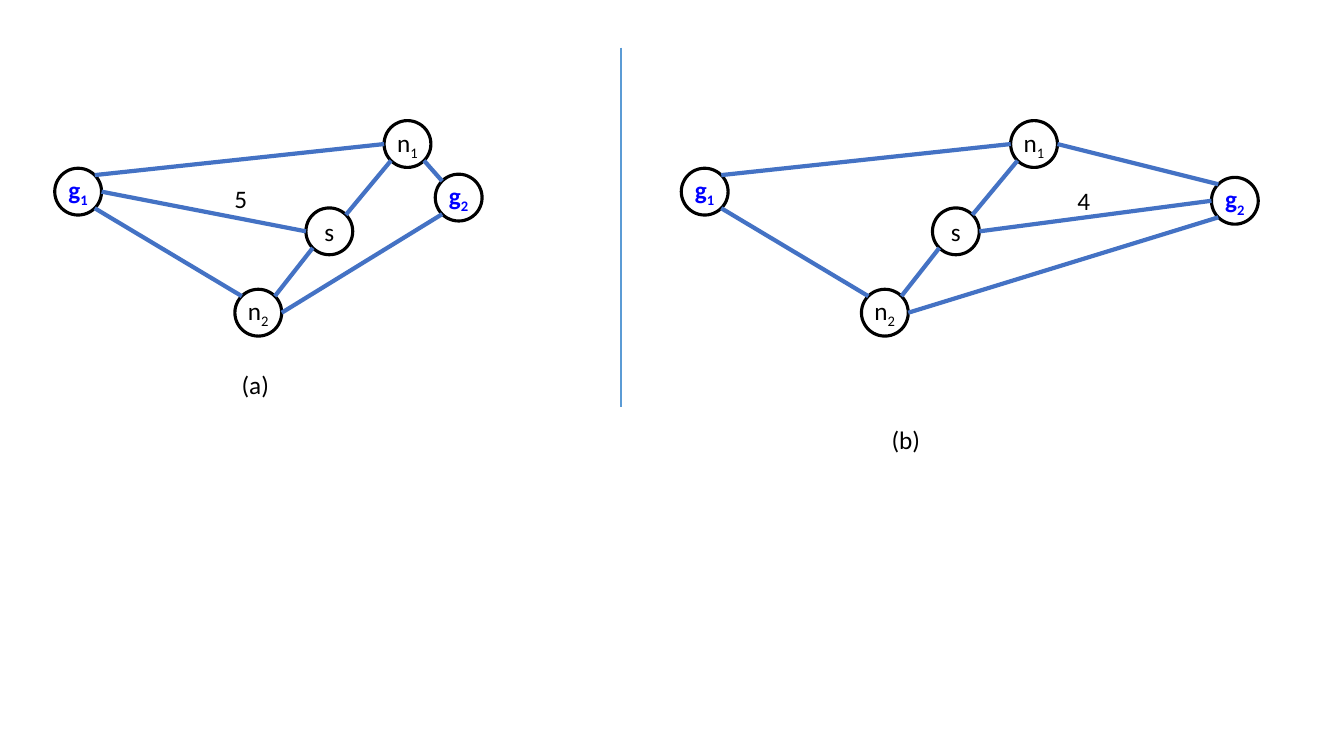
"""Build a slide with two graphs of goals, neighbours and a start node."""
from math import cos, radians, sin

from pptx import Presentation
from pptx.dml.color import RGBColor
from pptx.enum.shapes import MSO_CONNECTOR, MSO_SHAPE
from pptx.enum.text import MSO_ANCHOR, MSO_AUTO_SIZE, PP_ALIGN
from pptx.oxml.ns import qn
from pptx.util import Cm, Pt
from lxml import etree

STRAIGHT = MSO_CONNECTOR.STRAIGHT
OVAL = MSO_SHAPE.OVAL
MIDDLE = MSO_ANCHOR.MIDDLE
CENTER = PP_ALIGN.CENTER
GROW = MSO_AUTO_SIZE.SHAPE_TO_FIT_TEXT
BLANK_LAYOUT = 6
DIAMETER = 1.18
RADIUS = DIAMETER / 2
PANEL_SHIFT = 15.79
SITES = {"E": 0, "NE": 45, "NW": 135, "W": 180, "SW": 225, "SE": 315}
FONT = {"name": "Calibri", "size": Pt(18)}


def color(value):
    return RGBColor.from_string(value)


def add_line(start, end, line_color, width):
    line = page.shapes.add_connector(STRAIGHT, *[Cm(value) for value in (*start, *end)])
    line.line.color.rgb = color(line_color)
    line.line.width = Pt(width)
    etree.SubElement(line._element.spPr, qn("a:effectLst"))


deck = Presentation()
deck.slide_width, deck.slide_height = Cm(33.87), Cm(19.05)
page = deck.slides.add_slide(deck.slide_layouts[BLANK_LAYOUT])

shared_nodes = {"g1": (1.97, 4.83), "n1": (10.27, 3.63), "n2": (6.51, 7.88), "s": (8.3, 5.83)}
shared_edges = [
    ("s", "SW", "n2", "NE"),
    ("s", "NE", "n1", "SW"),
    ("n1", "W", "g1", "NE"),
    ("g2", "SW", "n2", "E"),
    ("g1", "SE", "n2", "NW"),
]
panels = [
    (0, (11.56, 4.98), [("g2", "NW", "n1", "SE"), ("g1", "E", "s", "W")]),
    (PANEL_SHIFT, (15.33, 5.06), [("g2", "NW", "n1", "E"), ("g2", "W", "s", "E")]),
]

for shift, second_goal, extra_edges in panels:
    nodes = {**shared_nodes, "g2": second_goal}
    centers = {name: (x + shift, y) for name, (x, y) in nodes.items()}

    for name, (x, y) in centers.items():
        node = page.shapes.add_shape(
            OVAL, Cm(x - RADIUS), Cm(y - RADIUS), Cm(DIAMETER), Cm(DIAMETER)
        )
        node.shadow.inherit = False
        node.fill.solid()
        node.fill.fore_color.rgb = color("FFFFFF")
        node.line.color.rgb = color("000000")
        node.line.width = Pt(2.25)
        frame = node.text_frame
        frame.word_wrap = False
        frame.vertical_anchor = MIDDLE
        para = frame.paragraphs[0]
        para.alignment = CENTER
        is_goal = name.startswith("g")
        for character in name:
            span = para.add_run()
            span.text = character
            for key, value in {**FONT, "bold": is_goal}.items():
                setattr(span.font, key, value)
            span.font.color.rgb = color("0000FF" if is_goal else "000000")
            if character.isdigit():
                span._r.get_or_add_rPr().set("baseline", "-25000")

    for first, first_site, second, second_site in shared_edges + extra_edges:
        ends = []
        for name, site in ((first, first_site), (second, second_site)):
            x, y = centers[name]
            angle = radians(SITES[site])
            ends.append((x + RADIUS * cos(angle), y - RADIUS * sin(angle)))
        add_line(*ends, "4472C4", 3)

add_line((15.65, 1.2), (15.65, 10.26), "5B9BD5", 1.5)

labels = [
    ("(a)", 5.84, 9.17, 1.22, False),
    ("(b)", 22.22, 10.57, 1.24, False),
    ("5", 5.66, 4.5, 1.4, True),
    ("4", 26.9, 4.55, 1.4, True),
]
for text, left, top, width, wrap in labels:
    box = page.shapes.add_textbox(Cm(left), Cm(top), Cm(width), Cm(1.03))
    frame = box.text_frame
    frame.word_wrap = wrap
    frame.auto_size = GROW
    span = frame.paragraphs[0].add_run()
    span.text = text
    for key, value in FONT.items():
        setattr(span.font, key, value)
    span.font.color.rgb = color("000000")

deck.save("out.pptx")
